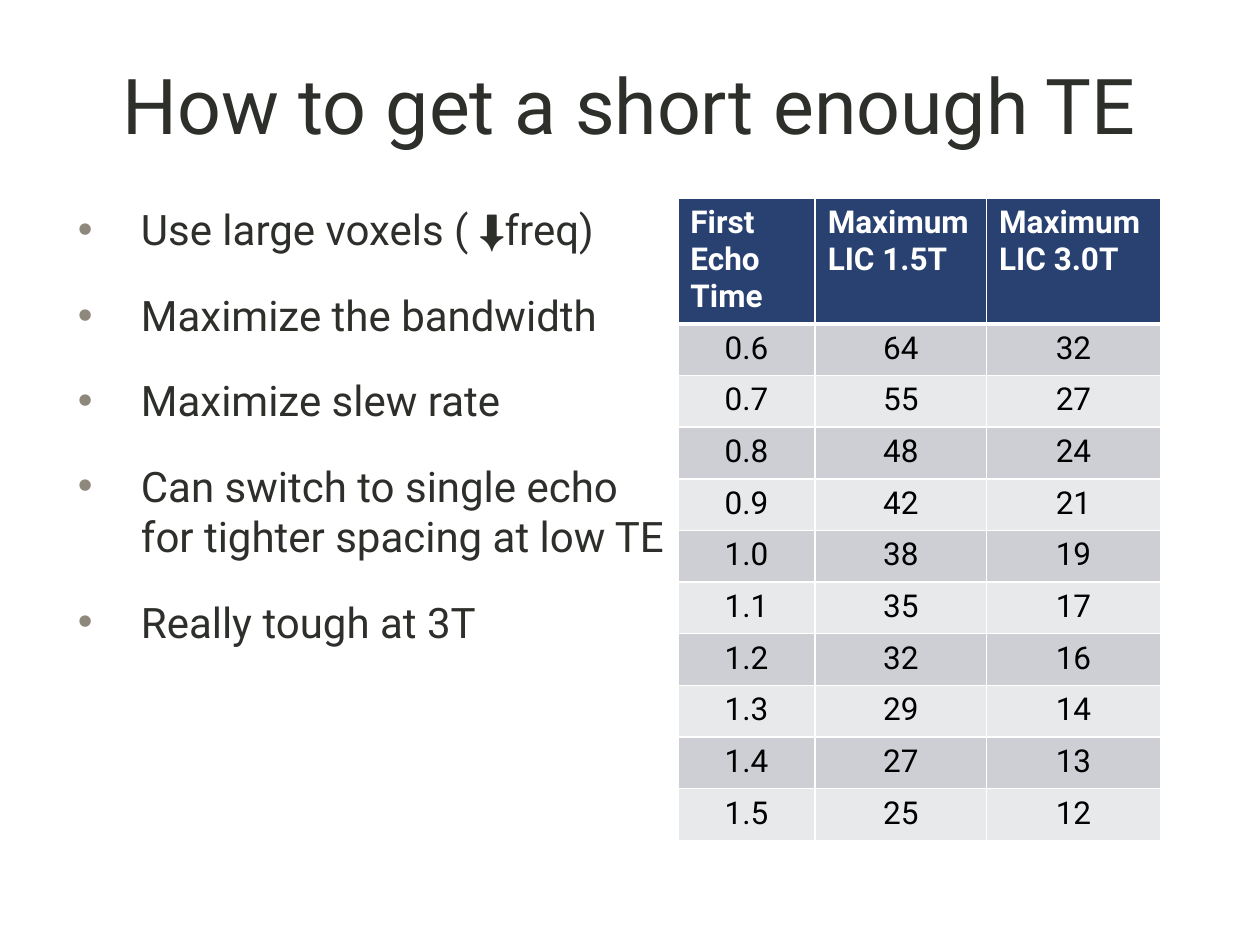
import pptx
import pptx.util
import pptx.dml.color
import pptx.enum.text
import pptx.oxml
import pptx.oxml.ns
from lxml import etree

Inches = pptx.util.Inches
Pt = pptx.util.Pt
RGBColor = pptx.dml.color.RGBColor
PP_ALIGN = pptx.enum.text.PP_ALIGN
qn = pptx.oxml.ns.qn

INK = RGBColor(0x2D, 0x2F, 0x2B)
BLACK = RGBColor(0x00, 0x00, 0x00)
WHITE = RGBColor(0xFF, 0xFF, 0xFF)
BULLET = RGBColor(0x8E, 0x88, 0x7C)
HEADER = RGBColor(0x29, 0x41, 0x71)
BAND_DARK = RGBColor(0xCD, 0xCF, 0xD5)
BAND_LIGHT = RGBColor(0xE8, 0xE9, 0xEB)

TIPS = [
    [("Use large voxels ( ", "Roboto"), ("⬇", "Arial"), ("freq)", "Roboto")],
    [("Maximize the bandwidth", "Roboto")],
    [("Maximize slew rate", "Roboto")],
    [("Can switch to single echo for tighter spacing at low TE", "Roboto")],
    [("Really tough at 3T", "Roboto")],
]
HEADINGS = [["First Echo Time"], ["Maximum", "LIC 1.5T"], ["Maximum", "LIC 3.0T"]]
LIC_LIMITS = [
    ("0.6", "64", "32"), ("0.7", "55", "27"), ("0.8", "48", "24"),
    ("0.9", "42", "21"), ("1.0", "38", "19"), ("1.1", "35", "17"),
    ("1.2", "32", "16"), ("1.3", "29", "14"), ("1.4", "27", "13"),
    ("1.5", "25", "12"),
]
COLUMN_WIDTHS = [1.09, 1.36, 1.38]


def add_text(paragraph, text, *, size, color, font="Roboto", bold=False, align=None):
    """Append one formatted run to a paragraph."""
    run = paragraph.add_run()
    run.text = text
    run.font.name = font
    run.font.size = Pt(size)
    run.font.bold = bold
    run.font.color.rgb = color
    if align is not None:
        paragraph.alignment = align


def paragraph_at(frame, index):
    return frame.paragraphs[0] if index == 0 else frame.add_paragraph()


def add_bullet(paragraph):
    properties = paragraph._p.get_or_add_pPr()
    properties.set("marL", str(Inches(0.5)))
    properties.set("indent", str(-Inches(0.5)))
    bullet_color = etree.SubElement(properties, qn("a:buClr"))
    etree.SubElement(bullet_color, qn("a:srgbClr"), val=str(BULLET))
    etree.SubElement(properties, qn("a:buFont"), typeface="Arial")
    etree.SubElement(properties, qn("a:buChar"), char="•")


def set_title(slide):
    title = slide.shapes.title
    title.left, title.top = Inches(0.75), Inches(0.07)
    title.width, title.height = Inches(8.5), Inches(1.5)
    title.text_frame.vertical_anchor = pptx.enum.text.MSO_ANCHOR.MIDDLE
    add_text(title.text_frame.paragraphs[0], "How to get a short enough TE",
             size=44, color=INK, align=PP_ALIGN.CENTER)


def add_tips(slide):
    tips = slide.shapes.add_textbox(Inches(0.52), Inches(1.57), Inches(4.85), Inches(4.84))
    frame = tips.text_frame
    frame.word_wrap = True
    for index, pieces in enumerate(TIPS):
        paragraph = paragraph_at(frame, index)
        add_bullet(paragraph)
        if index:
            paragraph.space_before = Pt(20)
        for text, font in pieces:
            add_text(paragraph, text, size=24, color=INK, font=font)


def style_cell(cell, fill, bottom_width=1):
    """Fill a cell and rule its four sides in white."""
    cell.fill.solid()
    cell.fill.fore_color.rgb = fill
    properties = cell._tc.get_or_add_tcPr()
    sides = [("L", 1), ("R", 1), ("T", 1), ("B", bottom_width)]
    for position, (side, width) in enumerate(sides):
        line = etree.Element(qn(f"a:ln{side}"), w=str(Pt(width)))
        line_fill = etree.SubElement(line, qn("a:solidFill"))
        etree.SubElement(line_fill, qn("a:srgbClr"), val=str(WHITE))
        properties.insert(position, line)


def add_lic_table(slide):
    table = slide.shapes.add_table(
        len(LIC_LIMITS) + 1, len(HEADINGS),
        Inches(5.38), Inches(1.57), Inches(3.83), Inches(4.97)).table
    for column, width in zip(table.columns, COLUMN_WIDTHS):
        column.width = Inches(width)
    for index, row in enumerate(table.rows):
        row.height = Inches(0.41 if index else 0.87)

    # Header row
    for column, lines in enumerate(HEADINGS):
        cell = table.cell(0, column)
        style_cell(cell, HEADER, bottom_width=3)
        for index, text in enumerate(lines):
            add_text(paragraph_at(cell.text_frame, index), text,
                     size=18, color=WHITE, bold=True)

    # Banded value rows
    for row, values in enumerate(LIC_LIMITS, start=1):
        for column, value in enumerate(values):
            cell = table.cell(row, column)
            style_cell(cell, BAND_DARK if row % 2 else BAND_LIGHT)
            add_text(cell.text_frame.paragraphs[0], value,
                     size=18, color=BLACK, align=PP_ALIGN.CENTER)


def main():
    deck = pptx.Presentation()
    deck.slide_width, deck.slide_height = Inches(10), Inches(7.5)
    slide = deck.slides.add_slide(deck.slide_layouts[5])
    set_title(slide)
    add_tips(slide)
    add_lic_table(slide)
    deck.save("out.pptx")


if __name__ == "__main__":
    main()
